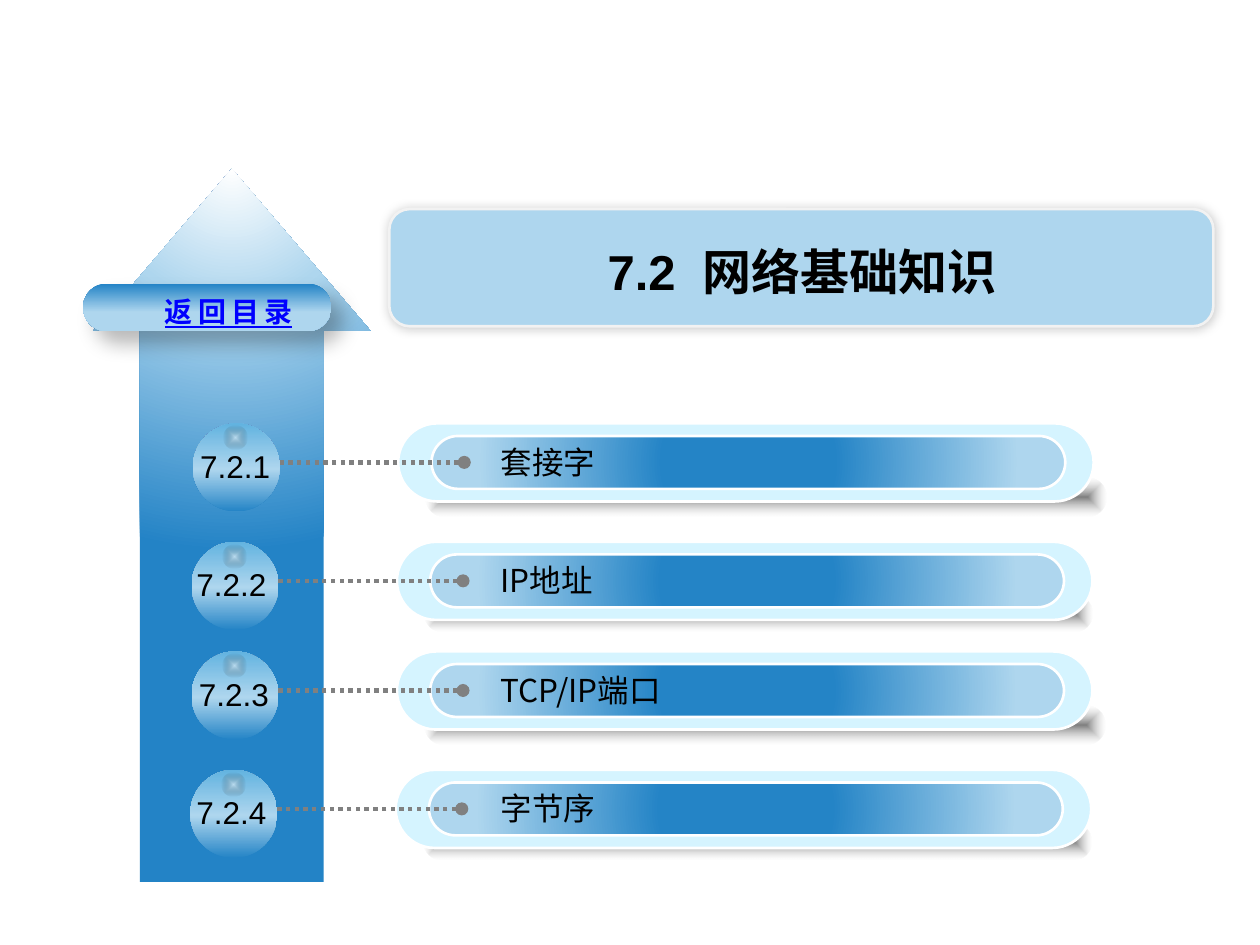
from lxml import etree
from pptx import Presentation
from pptx.dml.color import RGBColor
from pptx.enum.dml import MSO_LINE
from pptx.enum.shapes import MSO_CONNECTOR, MSO_SHAPE
from pptx.enum.text import MSO_ANCHOR, MSO_AUTO_SIZE, PP_ALIGN
from pptx.oxml import parse_xml
from pptx.oxml.ns import nsdecls, qn
from pptx.util import Pt

ROUND, OVAL, ARROW = MSO_SHAPE.ROUNDED_RECTANGLE, MSO_SHAPE.OVAL, MSO_SHAPE.UP_ARROW
LEFT, MID = PP_ALIGN.LEFT, PP_ALIGN.CENTER
BLACK = RGBColor(0x00, 0x00, 0x00)
WHITE = RGBColor(0xFF, 0xFF, 0xFF)
PALE = RGBColor(0xF2, 0xF2, 0xF2)
GREY = RGBColor(0x80, 0x80, 0x80)
SILVER = RGBColor(0xB0, 0xB0, 0xB0)
LINK = RGBColor(0x00, 0x00, 0xFF)
DEEP = RGBColor(0x23, 0x83, 0xC6)
BLUE = RGBColor(0x24, 0x84, 0xC6)
SKY = RGBColor(0x62, 0xB3, 0xE0)
LIGHT = RGBColor(0xAE, 0xD6, 0xEE)
ICE = RGBColor(0xD5, 0xF4, 0xFF)
LATIN, HAN = "Arial", "Noto Sans CJK SC"

RECT = '<a:path path="{}"><a:fillToRect l="50000" t="{}" r="50000" b="{}"/></a:path>'
RISE = RECT.format("circle", -80000, 180000)
RADIAL = RECT.format("circle", 50000, 50000)
INWARD = RECT.format("shape", 50000, 50000)
DOWN = '<a:lin ang="5400000" scaled="0"/>'
UP = '<a:lin ang="16200000" scaled="0"/>'

prs = Presentation()
cell = prs.slide_width // 100  # the slide is 100 columns by 75 rows
prs.slide_height = 75 * cell
slide = prs.slides.add_slide(prs.slide_layouts[5])


def draw(home, kind, at, fill, way=None, edge=None, adj=(), shade=None):
    """Fill is a colour, or (position, colour, opacity) stops spread along way.

    Shade is (opacity, blur, distance, angle)."""
    item = home.add_shape(kind, *[round(n * cell) for n in at])
    for i, n in enumerate(adj):
        item.adjustments[i] = n
    props = item.element.spPr
    if way:
        stops = "".join(
            f'<a:gs pos="{pos * 1000}"><a:srgbClr val="{tone}">'
            f'<a:alpha val="{seen * 1000}"/></a:srgbClr></a:gs>'
            for pos, tone, seen in fill)
        props.find(qn("a:prstGeom")).addnext(parse_xml(
            f'<a:gradFill {nsdecls("a")} rotWithShape="1">'
            f'<a:gsLst>{stops}</a:gsLst>{way}</a:gradFill>'))
    else:
        item.fill.solid()
        item.fill.fore_color.rgb = fill
    if edge:
        item.line.color.rgb = edge
        item.line.width = Pt(1.5)
    else:
        item.line.fill.background()
    item.shadow.inherit = False
    if shade:
        seen, blur, gap, turn = shade
        props.find(qn("a:effectLst")).append(parse_xml(
            f'<a:outerShdw {nsdecls("a")} blurRad="{Pt(blur)}" dist="{Pt(gap)}" '
            f'dir="{turn * 60000}" algn="ctr" rotWithShape="0"><a:srgbClr val="{BLACK}">'
            f'<a:alpha val="{seen * 1000}"/></a:srgbClr></a:outerShdw>'))


def write(text, at, box=None, size=18, face=HAN, tone=BLACK, bold=False,
          line=False, align=LEFT, wrap=True, space=0):
    place = [round(n * cell) for n in at]
    box = box or slide.shapes.add_textbox(*place)
    box.left, box.top, box.width, box.height = place
    frame = box.text_frame
    frame.word_wrap = wrap
    frame.auto_size = MSO_AUTO_SIZE.SHAPE_TO_FIT_TEXT
    frame.vertical_anchor = MSO_ANCHOR.TOP
    para = frame.paragraphs[0]
    para.alignment = align
    run = para.add_run()
    run.text = text
    font = run.font
    font.size, font.name, font.bold, font.underline = Pt(size), face, bold, line
    font.color.rgb = tone
    props = run.font.fill and run._r.get_or_add_rPr()
    etree.SubElement(props, qn("a:ea")).set("typeface", HAN)
    if space:
        props.set("spc", str(space * 100))


# Arrow and heading
draw(slide.shapes, ARROW, (7.4, 13.4, 22, 56.6),
     [(0, WHITE, 100), (35, LIGHT, 100), (100, DEEP, 100)], RISE, adj=(0.663, 0.584))
draw(slide.shapes, ROUND, (30.9, 16.6, 65.4, 9.3), LIGHT, edge=PALE,
     adj=(0.174,), shade=(20, 6, 0, 225))
title = slide.shapes.title
title.element.getparent().append(title.element)
write("7.2  网络基础知识", (31.1, 18.7, 65.1, 5.7), box=title, size=28,
      face=LATIN, bold=True, align=MID)

# Back button
draw(slide.shapes, ROUND, (6.6, 22.5, 19.7, 3.8),
     [(1, DEEP, 100), (60, LIGHT, 100)], DOWN, adj=(0.5,), shade=(28, 11.8, 10, 48))
write("返回目录", (11.8, 22.9, 12.7, 3.7), size=16, tone=LINK, bold=True,
      line=True, align=MID, wrap=False, space=3)

# Topics: number, its column, label, bar column, row, shade size
topics = [
    ("7.2.1", 14.9, "套接字", 31.6, 33.6, (54, 3.1)),
    ("7.2.2", 14.6, "IP地址", 31.5, 43.0, (53, 2.8)),
    ("7.2.3", 14.8, "TCP/IP端口", 31.5, 51.7, (54, 3.1)),
    ("7.2.4", 14.6, "字节序", 31.4, 61.1, (53, 2.8)),
]
for num, col, label, x, y, shade in topics:
    home = slide.shapes.add_group_shape().shapes
    draw(home, ROUND, (x + 2.2, y + 4.3, *shade),
         [(0, BLACK, 50), (100, SILVER, 0)], INWARD, adj=(0.5,))
    draw(home, ROUND, (x, y, 55.2, 6.2), ICE, edge=WHITE, adj=(0.5,))
    draw(home, ROUND, (x + 2.65, y + 1, 50.3, 4.2),
         [(27, BLUE, 100), (85, LIGHT, 100)], RADIAL, edge=WHITE, adj=(0.5,))
    ends = [round(n * cell) for n in (x + 5.25, y + 3.1, x - 11.15, y + 3.1)]
    wire = home.add_connector(MSO_CONNECTOR.STRAIGHT, *ends)
    wire.line.color.rgb = GREY
    wire.line.width = Pt(2.5)
    wire.line.dash_style = MSO_LINE.ROUND_DOT
    props = wire.element.spPr
    etree.SubElement(props.find(qn("a:ln")), qn("a:headEnd")).set("type", "oval")
    etree.SubElement(props, qn("a:effectLst"))
    draw(home, OVAL, (x - 16.3, y, 6.9, 7),
         [(0, BLUE, 100), (48, LIGHT, 100), (100, SKY, 100)], UP)
    draw(home, OVAL, (x - 13.85, y + 0.2, 1.9, 1.9),
         [(0, WHITE, 50), (100, BLACK, 0)], INWARD)
    write(num, (col, y + 1.35, 8.7, 4), face=LATIN)
    write(label, (38.75, y + 1.05, 23.6, 4))

prs.save("out.pptx")
